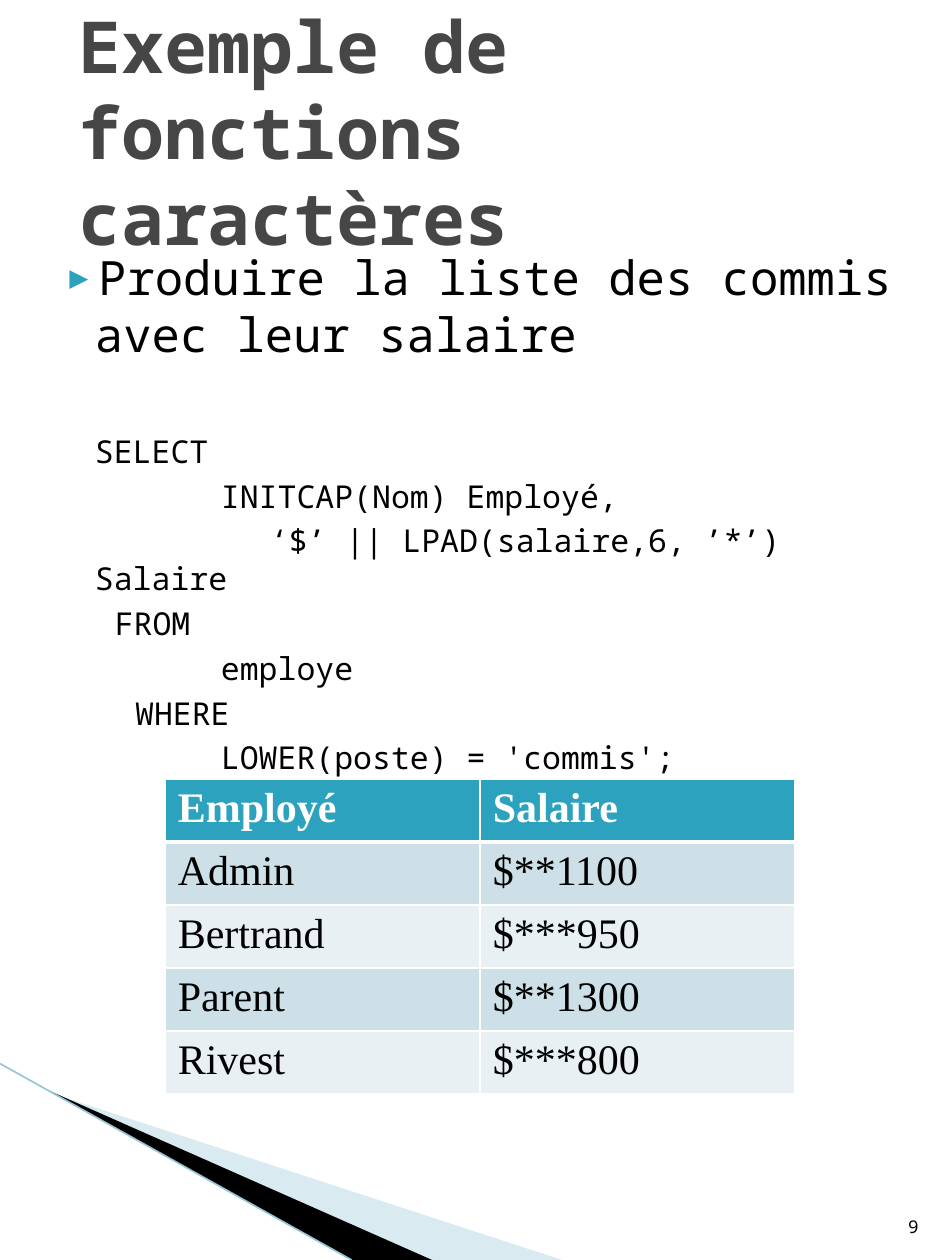
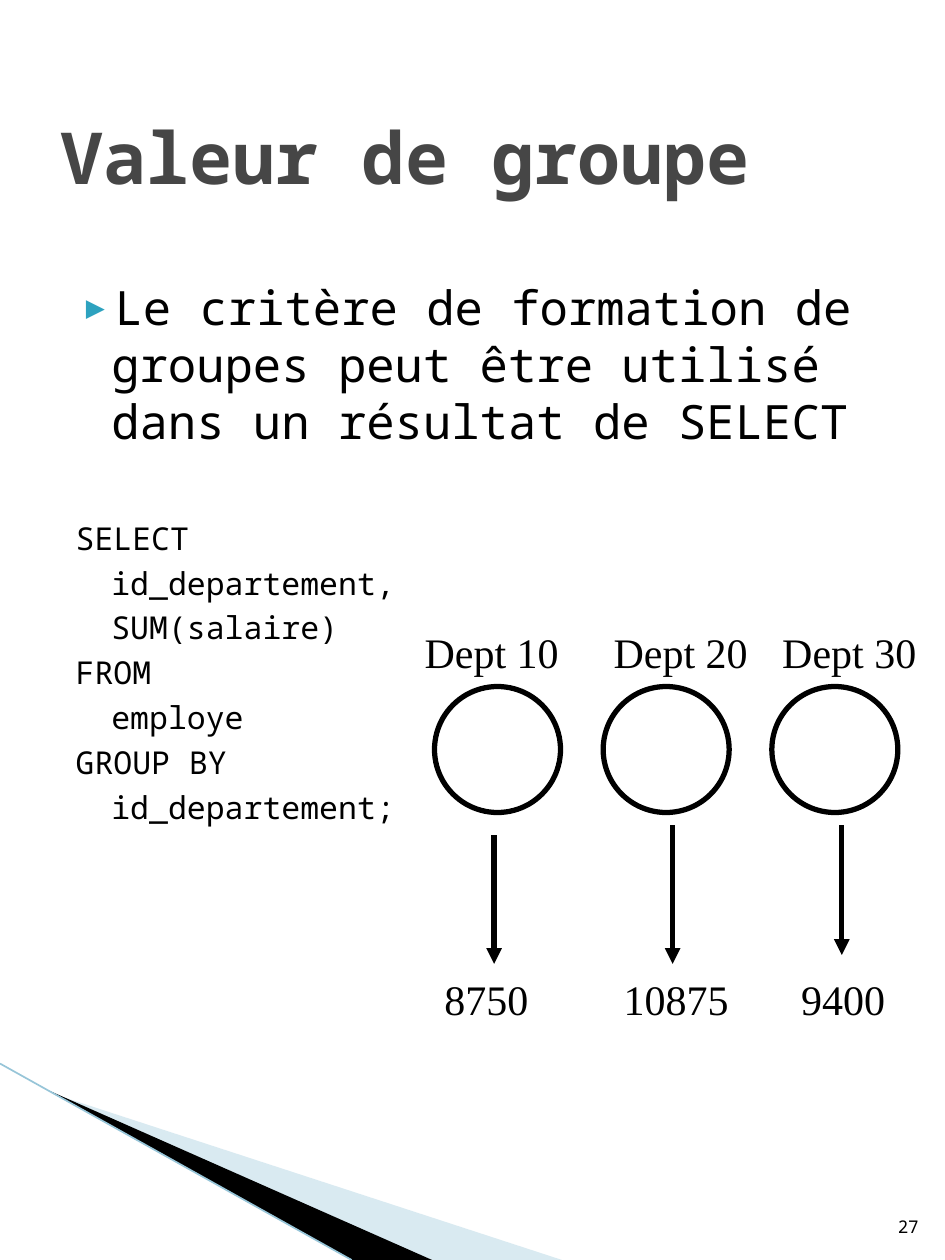
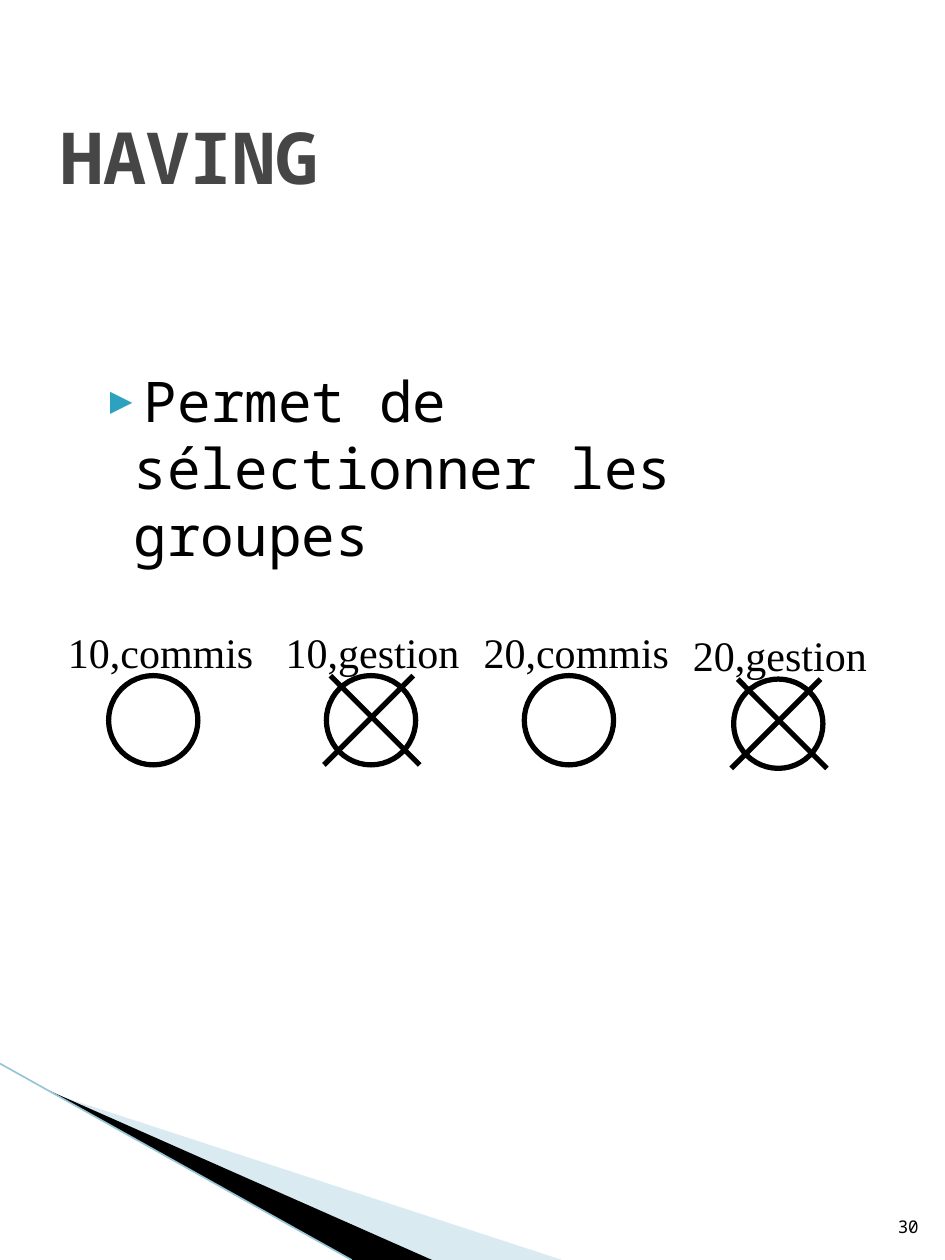
"""Build three SQL course slides with a shared corner band and text style."""
from dataclasses import dataclass
from typing import Any

from lxml import etree
from pptx import Presentation
from pptx import util as u
from pptx.dml import color
from pptx.enum import shapes, text
from pptx.oxml import ns


@dataclass(frozen=True)
class Theme:
    mono: str = "Noto Sans Mono"
    serif: str = "Times New Roman"
    ink: str = "000000"
    grey: str = "464646"
    teal: str = "2DA2BF"
    white: str = "FFFFFF"
    pale: str = "A0CBDC"
    edge: str = "97C5D8"
    rows: tuple = ("CDE0E8", "E8F0F4")
    head: int = 41
    lead: int = 27
    large: int = 32
    code: int = 18
    label: int = 24
    page: int = 10


def rgb(tone):
    return color.RGBColor.from_string(tone)


def cm(vals):
    return [u.Cm(v) for v in vals]


def node(root, tag, **atts):
    return etree.SubElement(root, ns.qn(tag), atts)


def put(item, **vals):
    for key, val in vals.items():
        setattr(item, key, val)


@dataclass
class Deck:
    look: Theme
    deck: Any
    slide: Any = None

    def words(self, para, line, size, tone=None, face=None, bold=False):
        run = para.add_run()
        run.text = line
        put(run.font, name=face or self.look.mono, size=u.Pt(size), bold=bold)
        run.font.color.rgb = rgb(tone or self.look.ink)

    def place(self, item, box):
        put(item, **dict(zip(("left", "top", "width", "height"), cm(box))))

    def page(self, num, title, box):
        lay = self.deck.slide_layouts[1]
        first = self.slide is None
        self.slide = self.deck.slides.add_slide(lay)
        if first:
            self.band(lay)
        head = self.slide.shapes.title
        self.place(head, box)
        put(head.text_frame, auto_size=text.MSO_AUTO_SIZE.NONE,
            vertical_anchor=text.MSO_ANCHOR.MIDDLE)
        para = head.text_frame.paragraphs[0]
        para.alignment = text.PP_ALIGN.LEFT
        self.words(para, title, self.look.head, self.look.grey, bold=True)
        foot = self.slide.shapes.add_textbox(*cm((17.53, 23.72, 1.24, 1.35)))
        put(foot.text_frame, word_wrap=True,
            vertical_anchor=text.MSO_ANCHOR.BOTTOM)
        para = foot.text_frame.paragraphs[0]
        para.alignment = text.PP_ALIGN.RIGHT
        self.words(para, str(num), self.look.page)

    def band(self, lay):
        pale = self.wedge([(1.04, 22.04), (11.33, 25.4), (8.69, 25.4)],
                          self.look.pale)
        tint = pale._element.spPr.find(ns.qn("a:solidFill"))[0]
        node(tint, "a:alpha", val="40000")
        dark = self.wedge([(1.02, 22), (8.71, 25.4), (7.09, 25.4)],
                          self.look.ink)
        edge = self.line((0, 21.44), (7.09, 25.4), self.look.edge, 0.95)
        for num, item in enumerate((pale, dark, edge), 20):
            item._element.xpath(".//p:cNvPr")[0].set("id", str(num))
            lay.shapes._spTree.append(item._element)

    def wedge(self, spots, tone):
        spots = [cm(spot) for spot in spots]
        pen = self.slide.shapes.build_freeform(*spots[0])
        pen.add_line_segments(spots[1:])
        item = pen.convert_to_shape()
        item.shadow.inherit = False
        item.fill.solid()
        item.fill.fore_color.rgb = rgb(tone)
        item.line.fill.background()
        return item

    def line(self, start, end, tone=None, width=3, arrow=False):
        item = self.slide.shapes.add_connector(
            shapes.MSO_CONNECTOR.STRAIGHT, *cm(start + end))
        item.line.color.rgb = rgb(tone or self.look.ink)
        item.line.width = u.Pt(width)
        if arrow:
            node(item.line._get_or_add_ln(), "a:tailEnd", type="triangle")
        node(item._element.spPr, "a:effectLst")
        return item

    def body(self, box, lead, size, code=()):
        item = self.slide.placeholders[1]
        self.place(item, box)
        frame = item.text_frame
        frame.auto_size = text.MSO_AUTO_SIZE.NONE
        para = frame.paragraphs[0]
        para.space_before = u.Pt(4)
        self.words(para, lead, size)
        prop = self.indent(para, 1.02, -0.71)
        node(node(prop, "a:buClr"), "a:srgbClr", val=self.look.teal)
        node(prop, "a:buSzPct", val="68000")
        node(prop, "a:buFont", typeface=self.look.mono)
        node(prop, "a:buChar", char="▶")
        for num, (line, left, first) in enumerate(code):
            para = frame.add_paragraph()
            para.space_before = u.Pt(4 if num else 40)
            self.words(para, line, self.look.code)
            node(self.indent(para, left, first), "a:buNone")

    def indent(self, para, left, first):
        prop = para._p.get_or_add_pPr()
        for key, val in {"marL": left, "indent": first}.items():
            prop.set(key, str(u.Cm(val)))
        return prop

    def label(self, line, left, top, width):
        item = self.slide.shapes.add_textbox(*cm((left, top, width, 1.27)))
        put(item.text_frame, word_wrap=False,
            auto_size=text.MSO_AUTO_SIZE.SHAPE_TO_FIT_TEXT)
        self.words(item.text_frame.paragraphs[0], line, self.look.label,
                   face=self.look.serif)

    def ring(self, left, top, size):
        item = self.slide.shapes.add_shape(
            shapes.MSO_SHAPE.OVAL, *cm((left, top, size, size)))
        item.shadow.inherit = False
        item.fill.background()
        item.line.color.rgb = rgb(self.look.ink)
        item.line.width = u.Pt(3)

    def cross(self, left, top, size):
        self.line((left + 0.08, top), (left + size + 0.08, top + size))
        self.line((left - 0.05, top + size), (left + size - 0.05, top))

    def table(self, box, rows):
        grid = self.slide.shapes.add_table(
            len(rows), len(rows[0]), *cm(box)).table
        for r, row in enumerate(rows):
            for c, line in enumerate(row):
                cell = grid.cell(r, c)
                prop = cell._tc.get_or_add_tcPr()
                wide = {"a:lnT": r == 1, "a:lnB": r == 0}
                for tag in ("a:lnL", "a:lnR", "a:lnT", "a:lnB"):
                    size = u.Pt(3 if wide.get(tag) else 1)
                    edge = node(prop, tag, w=str(size))
                    node(node(edge, "a:solidFill"), "a:srgbClr",
                         val=self.look.white)
                cell.fill.solid()
                tone = self.look.rows[(r - 1) % 2] if r else self.look.teal
                cell.fill.fore_color.rgb = rgb(tone)
                self.words(cell.text_frame.paragraphs[0], line,
                           self.look.label,
                           self.look.ink if r else self.look.white,
                           self.look.serif, r == 0)


def main():
    show = Presentation()
    put(show, slide_width=u.Cm(19.05), slide_height=u.Cm(25.4))
    look = Theme()
    deck = Deck(look, show)
    top = (0.97, 1.02, 17.15, 4.24)

    deck.page(9, "Exemple de fonctions caractères", (1.32, 0.51, 16.2, 4.24))
    deck.body((0.64, 4.88, 17.63, 17.7),
              "Produire la liste des commis avec leur salaire", look.lead, [
                  ("SELECT", 1.02, 0),
                  ("INITCAP(Nom) Employé,", 3.56, 0),
                  ("‘$’ || LPAD(salaire,6,\u00a0’*’) Salaire", 1.02, 3.53),
                  ("FROM", 1.42, 0),
                  ("employe", 3.56, 0),
                  ("WHERE", 1.83, 0),
                  ("LOWER(poste) = 'commis';", 3.56, 0)])
    deck.table((3.33, 15.7, 12.7, 5.15), [
        ("Employé", "Salaire"), ("Admin", "$**1100"), ("Bertrand", "$***950"),
        ("Parent", "$**1300"), ("Rivest", "$***800")])

    deck.page(27, "Valeur de groupe", top)
    deck.body((0.97, 5.49, 17.15, 16.76),
              "Le critère de formation de groupes peut être utilisé "
              "dans un résultat de SELECT", look.lead, [
                  ("SELECT", 0.3, 0),
                  ("id_departement,", 1.02, 0),
                  ("SUM(salaire)", 1.02, 0),
                  ("FROM", 0.3, 0),
                  ("employe", 1.02, 0),
                  ("GROUP BY", 0.3, 0),
                  ("id_departement;", 1.02, 0)])
    depts = [("Dept 10", 8.31, 9.96, 16.84, 19.43, "8750", 8.71, 2.21),
             ("Dept 20", 12.12, 13.56, 16.64, 19.43, "10875", 12.32, 2.62),
             ("Dept 30", 15.52, 16.97, 16.64, 19.25, "9400", 15.9, 2.21)]
    for num, (dept, left, mid, high, low, total, x, wide) in enumerate(depts):
        deck.ring(8.76 + 3.4 * num, 13.84, 2.54)
        deck.label(dept, left, 12.5, 3.23)
        deck.line((mid, high), (mid, low), arrow=True)
        deck.label(total, x, 19.51, wide)

    deck.page(30, "HAVING", top)
    deck.body((1.42, 7.26, 16.2, 3.84),
              "Permet de sélectionner les groupes", look.large)
    groups = [("10,commis", 1.12, 12.5, 4.24, False),
              ("10,gestion", 5.51, 12.5, 4.01, True),
              ("20,commis", 9.5, 12.5, 4.24, False),
              ("20,gestion", 13.72, 12.57, 4.01, True)]
    for name, left, high, wide, out in groups:
        spot = (left + 1.07, high + 1.12, 1.8)
        deck.label(name, left, high, wide)
        deck.ring(*spot)
        if out:
            deck.cross(*spot)

    show.save("out.pptx")


main()
